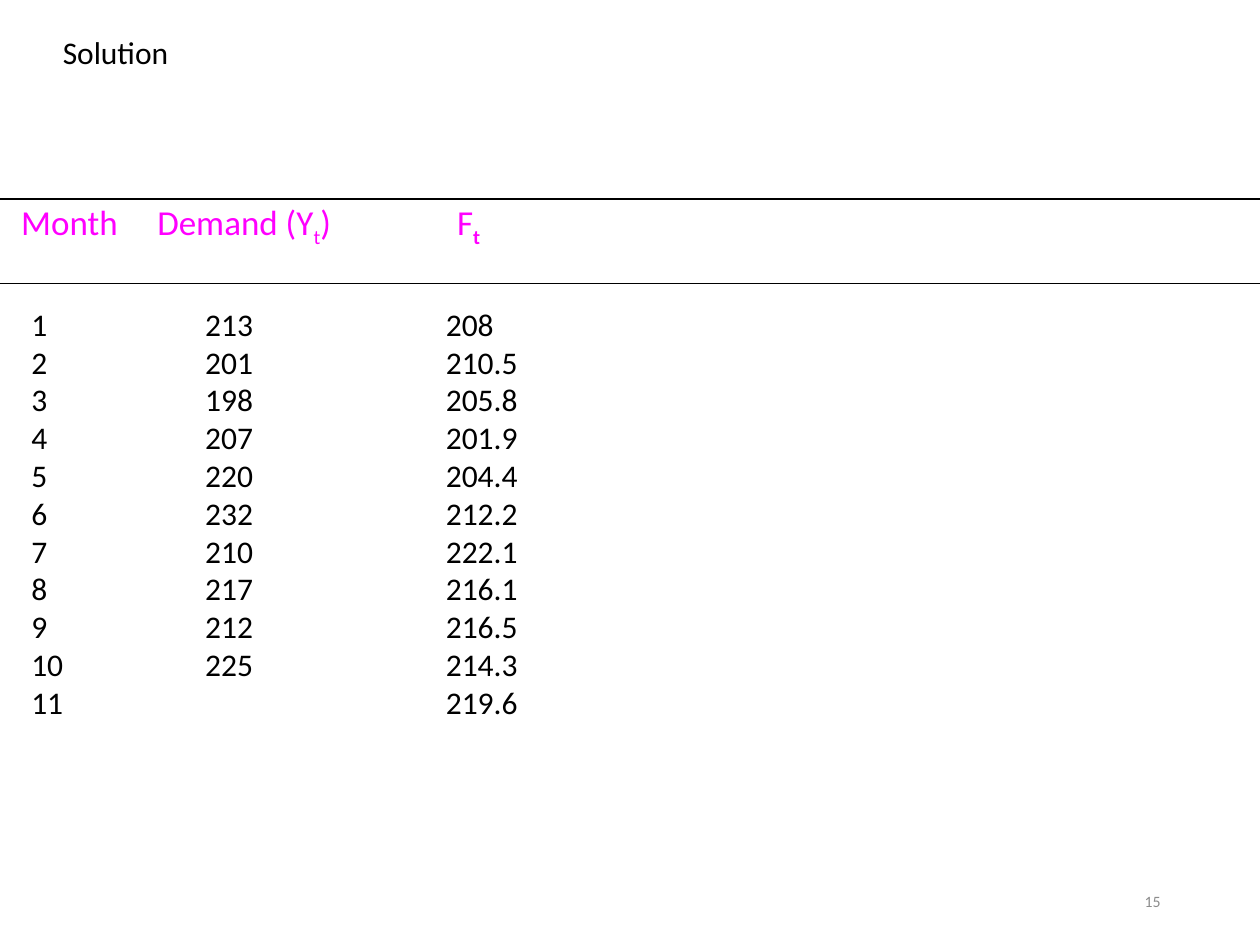
from lxml.etree import SubElement
from pptx import Presentation
from pptx.dml.color import RGBColor
from pptx.enum.shapes import MSO_CONNECTOR
from pptx.enum.text import MSO_ANCHOR, PP_ALIGN
from pptx.oxml.ns import qn
from pptx.util import Inches, Pt

BLACK = RGBColor(0x00, 0x00, 0x00)
MAGENTA = RGBColor(0xFF, 0x00, 0xFF)
GRAY = RGBColor(0x8C, 0x8C, 0x8C)
FONT = "Calibri"
UNIT = Inches(0.1)
COLUMNS, ROWS = 100, 75
DEMAND = [213, 201, 198, 207, 220, 232, 210, 217, 212, 225, ""]
FORECAST = [208, 210.5, 205.8, 201.9, 204.4, 212.2, 222.1, 216.1, 216.5, 214.3, 219.6]


def grid(*counts):
    """Turn counts of grid columns or rows into lengths."""
    return [round(count * UNIT) for count in counts]


def add_box(page, area, wrap=True):
    """Add a text box at a grid area and return its frame."""
    frame = page.shapes.add_textbox(*grid(*area)).text_frame
    frame.word_wrap = wrap
    return frame


def add_span(para, text, size, color, subscript=False, bold=False):
    """Add one styled run to a paragraph."""
    span = para.add_run()
    span.text = text
    span.font.name, span.font.size, span.font.bold = FONT, Pt(size), bold
    span.font.color.rgb = color
    if subscript:
        span.font._element.set("baseline", "-25000")


def set_tabs(para, stops):
    """Set left tab stops, given in grid columns."""
    tabs = SubElement(para._p.get_or_add_pPr(), qn("a:tabLst"))
    for position in grid(*stops):
        SubElement(tabs, qn("a:tab"), pos=str(position), algn="l")


def add_rule(page, row):
    """Draw a thin line across the page at a grid row."""
    left, right, top = grid(0, COLUMNS, row)
    rule = page.shapes.add_connector(MSO_CONNECTOR.STRAIGHT, left, top, right, top)
    rule.line.color.rgb = BLACK
    rule.line.width = Pt(0.75)
    SubElement(rule._element.spPr, qn("a:effectLst"))


def add_label(page, area, text, size, color, align=PP_ALIGN.LEFT,
              anchor=MSO_ANCHOR.TOP, wrap=True):
    """Place a single line of text in an area."""
    frame = add_box(page, area, wrap)
    frame.vertical_anchor = anchor
    para = frame.paragraphs[0]
    para.alignment = align
    add_span(para, text, size, color)


def add_header(page, area):
    """Place the column headings with their subscripts."""
    para = add_box(page, area).paragraphs[0]
    set_tabs(para, (10.8, 34.6))
    add_span(para, "Month\tDemand (Y", 20, MAGENTA)
    add_span(para, "t", 20, MAGENTA, subscript=True)
    add_span(para, ")\tF", 20, MAGENTA)
    add_span(para, "t", 20, MAGENTA, subscript=True, bold=True)


def add_forecast_rows(page, area):
    """Place one line of month, demand and forecast per month."""
    frame = add_box(page, area)
    for month, values in enumerate(zip(DEMAND, FORECAST), start=1):
        para = frame.paragraphs[0] if month == 1 else frame.add_paragraph()
        set_tabs(para, (13.8, 32.9))
        add_span(para, "\t".join(map(str, (month, *values))), 18, BLACK)


def build_page(deck):
    """Lay out the solution page."""
    page = deck.slides.add_slide(deck.slide_layouts[6])
    add_label(page, (70.6, 69.5, 22.5, 4), "15", 9, GRAY,
              PP_ALIGN.RIGHT, MSO_ANCHOR.MIDDLE)
    for row in (15.8, 22.5):
        add_rule(page, row)
    add_header(page, (0.7, 15.4, 84.3, 4.3))
    add_forecast_rows(page, (1.5, 23.7, 94.3, 37))
    add_label(page, (4, 2.1, 11, 4), "Solution", 18, BLACK, wrap=False)


def main():
    """Build and save the deck."""
    deck = Presentation()
    deck.slide_width, deck.slide_height = grid(COLUMNS, ROWS)
    build_page(deck)
    deck.save("out.pptx")


if __name__ == "__main__":
    main()
